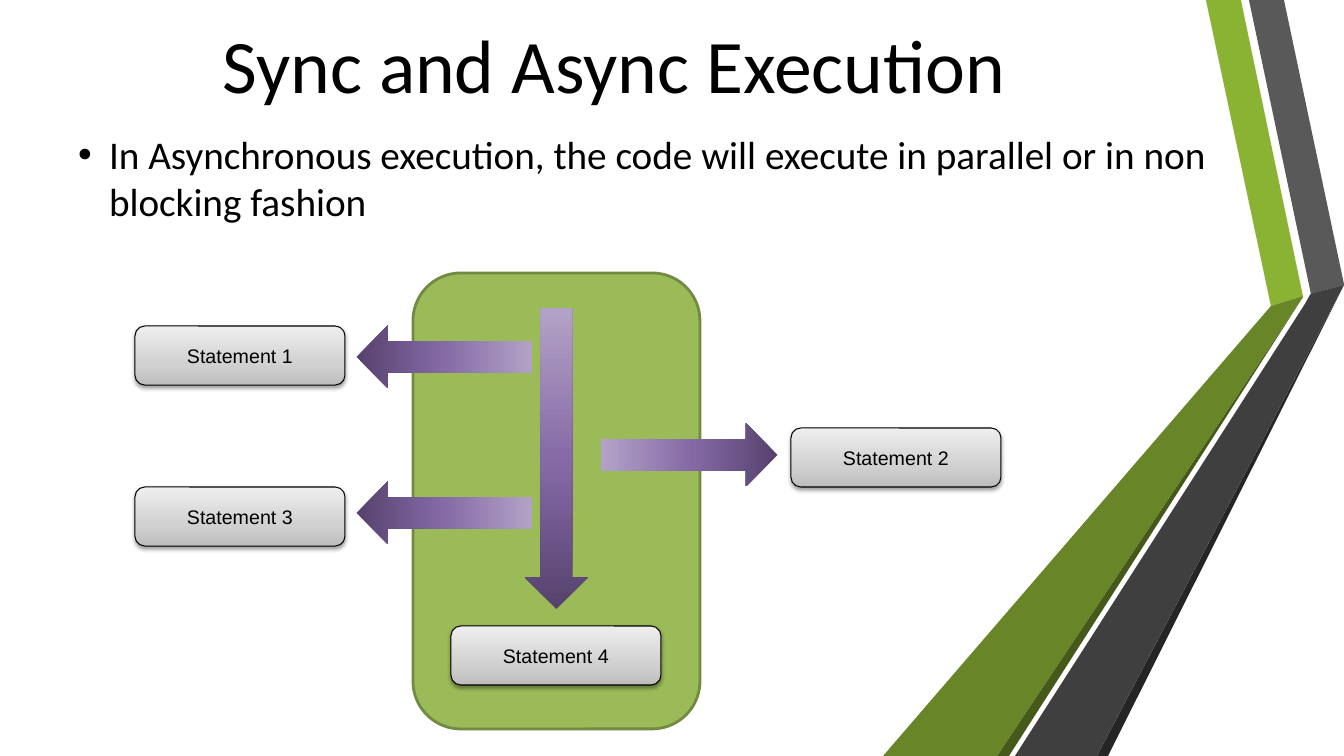
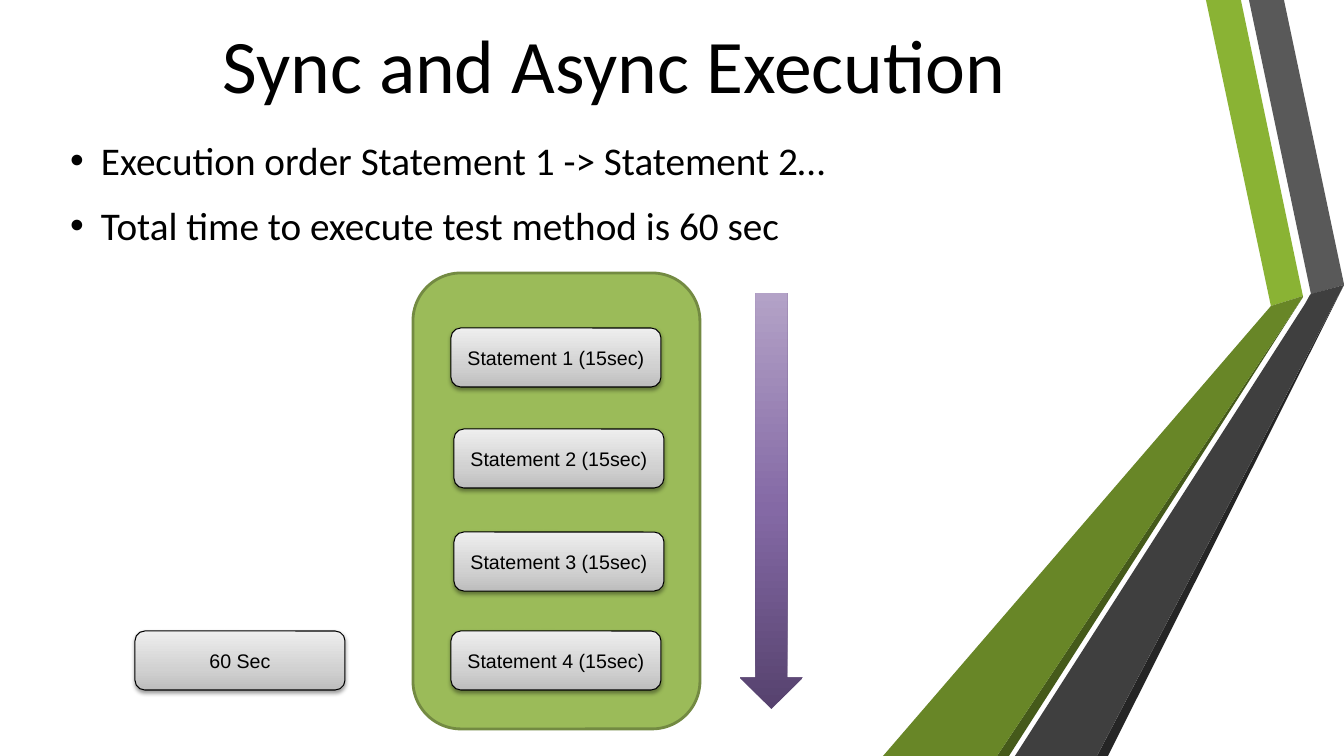
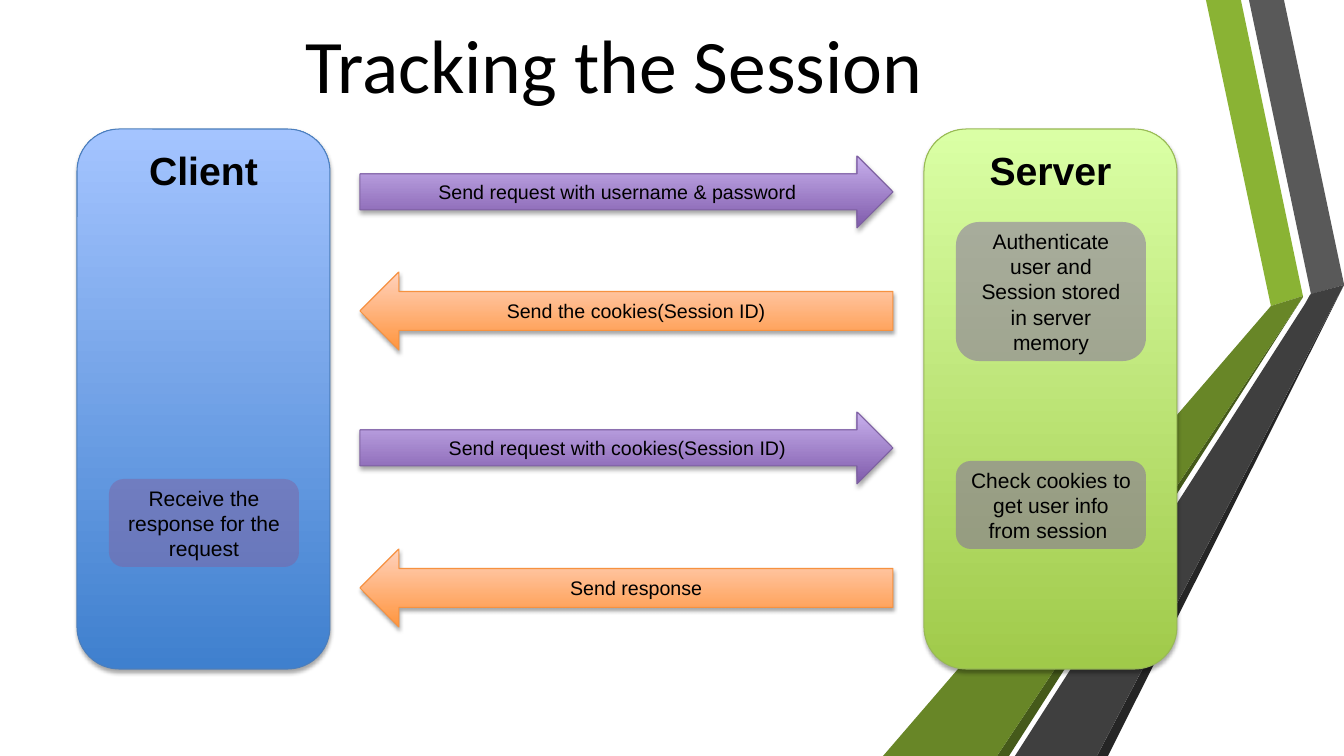
"""Build three slides on sync and async execution and session tracking."""
from lxml import etree
from pptx import Presentation
from pptx.dml.color import RGBColor
from pptx.enum.shapes import MSO_SHAPE
from pptx.enum.text import MSO_ANCHOR, MSO_AUTO_SIZE, PP_ALIGN
from pptx.oxml.ns import qn
from pptx.util import Pt

ROUNDED = MSO_SHAPE.ROUNDED_RECTANGLE
DOWN, LEFT, RIGHT = MSO_SHAPE.DOWN_ARROW, MSO_SHAPE.LEFT_ARROW, MSO_SHAPE.RIGHT_ARROW
TOP, MIDDLE = MSO_ANCHOR.TOP, MSO_ANCHOR.MIDDLE
CENTER, ALIGN_LEFT = PP_ALIGN.CENTER, PP_ALIGN.LEFT
NO_AUTOFIT = MSO_AUTO_SIZE.NONE
PX = 914400 / 100.8
WIDTH, HEIGHT = 1344, 756
BUTTON = (210, 59)

STYLES = {
    "panel": {"fill": "9BBB59", "line": ("738A42", 2)},
    "button": {"stops": [(0, "BDBDBD"), (35, "D1D1D1"), (100, "EEEEEE")],
               "line": ("000000", 0.75), "shadow": (38, 1.6)},
    "flow": {"stops": [(0, "56426E"), (48, "8469A5"), (100, "B3A2C7")]},
    "server": {"stops": [(0, "A0CA4A"), (100, "DAFFA5")], "line": ("98B955", 0.75),
               "shadow": (35, 1.8), "size": 28, "bold": True, "anchor": TOP},
    "client": {"stops": [(0, "3F80CE"), (100, "A4C4FF")], "line": ("4B7EBC", 0.75),
               "shadow": (35, 1.8), "size": 28, "bold": True, "anchor": TOP},
    "request": {"stops": [(0, "7F5BAB"), (100, "C8B0ED")],
                "line": ("7D60A0", 0.75), "shadow": (35, 1.8)},
    "response": {"stops": [(0, "FF953E"), (100, "FFD2BD")],
                 "line": ("F69240", 0.75), "shadow": (35, 1.8)},
    "note": {"fill": "8064A2", "alpha": 50, "size": 15},
}
BANDS = [
    ("8AB334", [(1241, 0), (1206, 0), (1271, 306), (1303, 296)]),
    ("595959", [(1284, 0), (1249, 0), (1311, 294), (1312, 294), (1344, 285), (1344, 284)]),
    ("252525", [(1344, 285), (1097, 756), (1108, 756)]),
    ("455A1A", [(1303, 297), (997, 756), (1009, 756)]),
    ("688627", [(1303, 296), (1271, 306), (883, 756), (997, 756), (1303, 297)]),
    ("3F3F3F", [(1344, 285), (1311, 294), (1310, 295), (1305, 304), (1015, 756), (1097, 756)]),
]
PAGES = [
    ("Sync and Async Execution", (76, 130, 1192, 101),
     ["In Asynchronous execution, the code will execute in parallel or in non blocking fashion"]),
    ("Sync and Async Execution", (68, 136, 1192, 130),
     ["Execution order Statement 1 -> Statement 2…",
      "Total time to execute test method is 60 sec"]),
    ("Tracking the Session", None, []),
]


def color(value):
    return RGBColor.from_string(value)


def draw(page, kind, at, style_name, text="", rotation=0):
    style = STYLES[style_name]
    shape = page.shapes.add_shape(kind, *[round(length * PX) for length in at])
    shape.rotation = rotation
    shape.shadow.inherit = False
    properties = shape.element.spPr
    if "stops" in style:
        shape.fill.gradient()
        shape.fill.gradient_angle = 90
        stops = properties.find(".//" + qn("a:gsLst"))
        for stop in list(stops):
            stops.remove(stop)
        for position, value in style["stops"]:
            stop = etree.SubElement(stops, qn("a:gs"), pos=str(position * 1000))
            etree.SubElement(stop, qn("a:srgbClr"), val=value)
    else:
        shape.fill.solid()
        shape.fill.fore_color.rgb = color(style["fill"])
        if "alpha" in style:
            tint = properties.find(".//" + qn("a:srgbClr"))
            etree.SubElement(tint, qn("a:alpha"), val=str(style["alpha"] * 1000))
    if "line" in style:
        line_color, line_width = style["line"]
        shape.line.color.rgb = color(line_color)
        shape.line.width = Pt(line_width)
    else:
        shape.line.fill.background()
    if "shadow" in style:
        opacity, distance = style["shadow"]
        shadow = etree.SubElement(properties.find(qn("a:effectLst")), qn("a:outerShdw"),
                                  blurRad=str(Pt(3.1)), dist=str(Pt(distance)),
                                  dir="5400000", rotWithShape="0")
        tint = etree.SubElement(shadow, qn("a:srgbClr"), val="000000")
        etree.SubElement(tint, qn("a:alpha"), val=str(opacity * 1000))
    if text:
        frame = shape.text_frame
        frame.word_wrap = True
        frame.vertical_anchor = style.get("anchor", MIDDLE)
        para = frame.paragraphs[0]
        para.alignment = CENTER
        span = para.add_run()
        span.text = text
        span.font.color.rgb = color("000000")
        font = {"name": "Arial", "size": Pt(style.get("size", 14)),
                "bold": style.get("bold", False)}
        for name, value in font.items():
            setattr(span.font, name, value)


deck = Presentation()
deck.slide_width, deck.slide_height = round(WIDTH * PX), round(HEIGHT * PX)
list_layout, title_layout = deck.slide_layouts[1], deck.slide_layouts[5]

for title, list_at, bullets in PAGES:
    page = deck.slides.add_slide(list_layout if bullets else title_layout)
    blocks = [(page.shapes.title, (68, 18, 1092, 92), [title], 54, CENTER)]
    if bullets:
        blocks.append((page.placeholders[1], list_at, bullets, 28, ALIGN_LEFT))
    for box, at, lines, size, alignment in blocks:
        for name, length in zip(("left", "top", "width", "height"), at):
            setattr(box, name, round(length * PX))
        frame = box.text_frame
        frame.text = "\n".join(lines)
        layout = {"margin_left": 0, "margin_top": 0, "margin_right": 0, "margin_bottom": 0,
                  "vertical_anchor": TOP, "word_wrap": True, "auto_size": NO_AUTOFIT}
        for name, value in layout.items():
            setattr(frame, name, value)
        for para in frame.paragraphs:
            para.alignment = alignment
            para.space_before, para.space_after = Pt(0), Pt(13)
            if alignment == ALIGN_LEFT:
                indents = para._p.get_or_add_pPr()
                indents.set("marL", str(round(33 * PX)))
                indents.set("indent", str(round(-31 * PX)))
            font = para.runs[0].font
            font.name, font.size = "Calibri", Pt(size)
            font.color.rgb = color("000000")

async_page, sync_page, session_page = deck.slides

master_tree = deck.slide_master.shapes.element
for index, (fill, points) in enumerate(BANDS):
    builder = async_page.shapes.build_freeform(*points[0], scale=PX)
    builder.add_line_segments(points[1:])
    band = builder.convert_to_shape()
    band.shadow.inherit = False
    band.fill.solid()
    band.fill.fore_color.rgb = color(fill)
    band.line.fill.background()
    band.element.nvSpPr.cNvPr.set("id", str(20 + index))
    master_tree.insert(2 + index, band.element)

for page in (async_page, sync_page):
    draw(page, ROUNDED, (413, 273, 287, 456), "panel")

async_spots = [(135, 326), (791, 428), (135, 487), (451, 626)]
for number, spot in enumerate(async_spots, 1):
    draw(async_page, ROUNDED, spot + BUTTON, "button", f"Statement {number}")
draw(async_page, DOWN, (525, 308, 63, 301), "flow")
for left, top, rotation in [(413, 269, 90), (413, 425, 90), (658, 367, 270)]:
    draw(async_page, DOWN, (left, top, 63, 176), "flow", rotation=rotation)

sync_spots = [(451, 328), (454, 429), (454, 532), (451, 631)]
for number, spot in enumerate(sync_spots, 1):
    draw(sync_page, ROUNDED, spot + BUTTON, "button", f"Statement {number} (15sec)")
draw(sync_page, DOWN, (740, 293, 63, 416), "flow")
draw(sync_page, ROUNDED, (135, 631) + BUTTON, "button", "60 Sec")

for left, name in [(924, "Server"), (77, "Client")]:
    draw(session_page, ROUNDED, (left, 129, 253, 540), name.lower(), name)
for kind, top, height, style_name, text in [
    (RIGHT, 156, 72, "request", "Send request with username & password"),
    (LEFT, 272, 78, "response", "Send the cookies(Session ID)"),
    (RIGHT, 412, 72, "request", "Send request with cookies(Session ID)"),
    (LEFT, 549, 78, "response", "Send response"),
]:
    draw(session_page, kind, (360, top, 533, height), style_name, text)
for left, top, height, text in [
    (956, 222, 139, "Authenticate user and Session stored in server memory"),
    (956, 461, 88, "Check cookies to get user info from session "),
    (109, 479, 88, "Receive the response for the request"),
]:
    draw(session_page, ROUNDED, (left, top, 190, height), "note", text)

deck.save("out.pptx")
